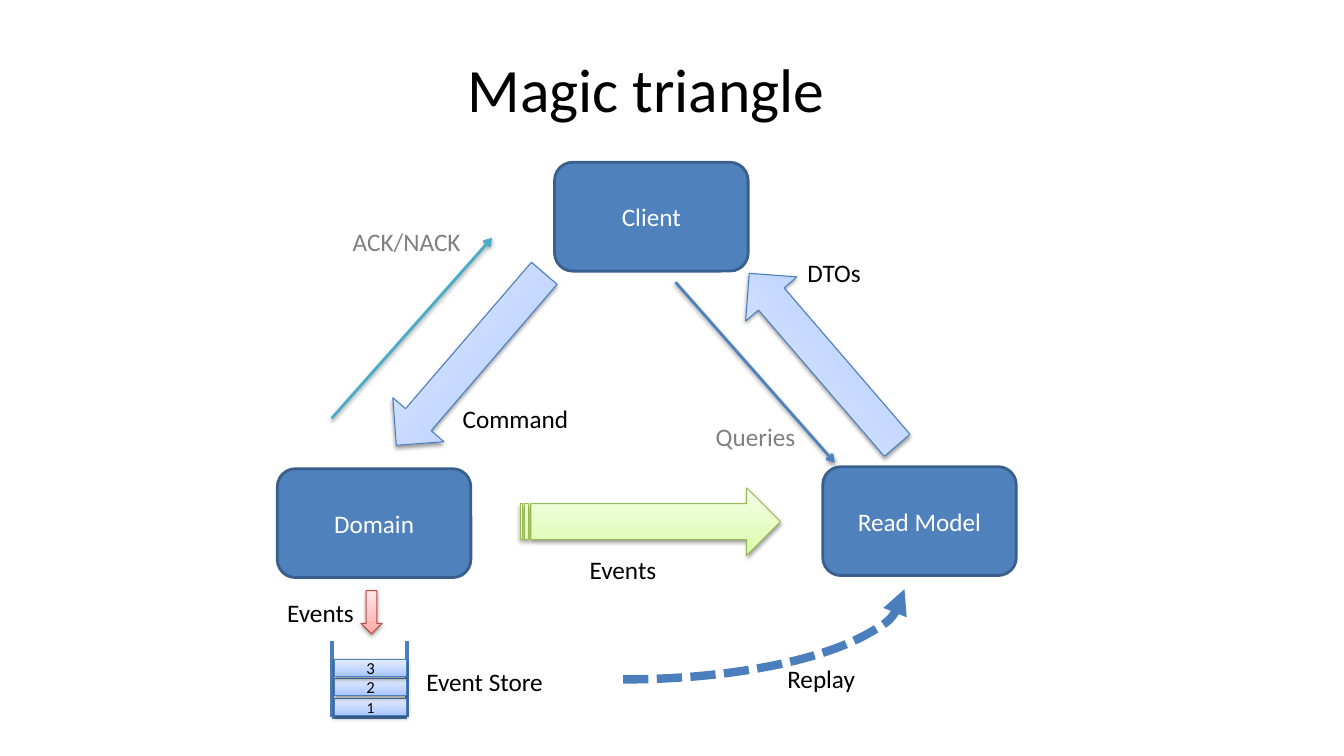
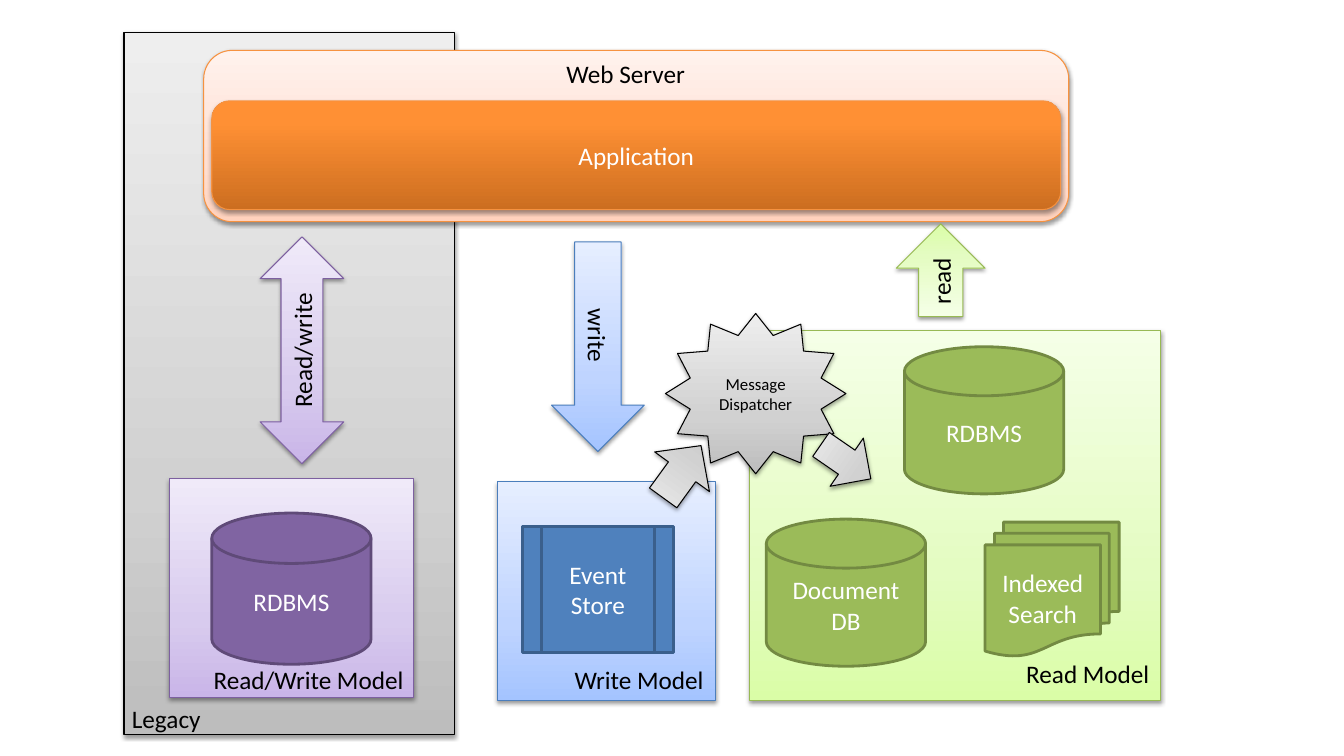
from dataclasses import dataclass
from typing import Optional

from lxml import etree
from pptx import Presentation
from pptx.dml.color import RGBColor
from pptx.enum.dml import MSO_LINE
from pptx.enum.shapes import MSO_CONNECTOR, MSO_SHAPE
from pptx.enum.text import MSO_ANCHOR, MSO_AUTO_SIZE, PP_ALIGN
from pptx.oxml.ns import qn
from pptx.slide import Slide
from pptx.text.text import TextFrame
from pptx.util import Inches, Pt

RECTANGLE = MSO_SHAPE.RECTANGLE
ROUNDED = MSO_SHAPE.ROUNDED_RECTANGLE
PROCESS = MSO_SHAPE.FLOWCHART_PROCESS
DISK = MSO_SHAPE.FLOWCHART_MAGNETIC_DISK
DOCUMENTS = MSO_SHAPE.FLOWCHART_MULTIDOCUMENT
PREDEFINED = MSO_SHAPE.FLOWCHART_PREDEFINED_PROCESS
STAR = MSO_SHAPE.STAR_12_POINT
ARC = MSO_SHAPE.ARC
STRIPED_ARROW = MSO_SHAPE.STRIPED_RIGHT_ARROW
RIGHT_ARROW = MSO_SHAPE.RIGHT_ARROW
DOWN_ARROW = MSO_SHAPE.DOWN_ARROW
UP_DOWN_ARROW = MSO_SHAPE.UP_DOWN_ARROW
STRAIGHT = MSO_CONNECTOR.STRAIGHT
SHORT_DASH = MSO_LINE.SQUARE_DOT
MIDDLE = MSO_ANCHOR.MIDDLE
LEFT, CENTER = PP_ALIGN.LEFT, PP_ALIGN.CENTER
FIT_TEXT = MSO_AUTO_SIZE.SHAPE_TO_FIT_TEXT

FONT = "Calibri"
BLACK = RGBColor(0x00, 0x00, 0x00)
WHITE = RGBColor(0xFF, 0xFF, 0xFF)
GRAY = RGBColor(0x80, 0x80, 0x80)
BLUE = RGBColor(0x4F, 0x81, 0xBD)
BLUE_EDGE = RGBColor(0x3A, 0x5F, 0x8C)
BLUE_LINE = RGBColor(0x4B, 0x7E, 0xBC)
TEAL = RGBColor(0x4B, 0xAC, 0xC6)
PURPLE = RGBColor(0x80, 0x64, 0xA2)
PURPLE_EDGE = RGBColor(0x5F, 0x4A, 0x78)
PURPLE_LINE = RGBColor(0x7D, 0x60, 0xA0)
GREEN = RGBColor(0x9B, 0xBB, 0x59)
GREEN_EDGE = RGBColor(0x73, 0x8A, 0x42)
GREEN_LINE = RGBColor(0x98, 0xB9, 0x55)
RED_LINE = RGBColor(0xBF, 0x4C, 0x48)
ORANGE_LINE = RGBColor(0xF6, 0x92, 0x40)
BLUE_TINTS = (RGBColor(0xA4, 0xC4, 0xFF), RGBColor(0xBF, 0xD4, 0xFF), RGBColor(0xE6, 0xEE, 0xFF))
GREEN_TINTS = (RGBColor(0xDA, 0xFD, 0xA7), RGBColor(0xE4, 0xFC, 0xC2), RGBColor(0xF5, 0xFF, 0xE7))
PURPLE_TINTS = (RGBColor(0xC9, 0xB5, 0xE8), RGBColor(0xD8, 0xCB, 0xEE), RGBColor(0xF0, 0xEA, 0xF9))
RED_TINTS = (RGBColor(0xFF, 0xA6, 0xA5), RGBColor(0xFF, 0xC0, 0xBF), RGBColor(0xFF, 0xE7, 0xE7))
GRAY_TINTS = (RGBColor(0xBD, 0xBD, 0xBD), RGBColor(0xD1, 0xD1, 0xD1), RGBColor(0xEE, 0xEE, 0xEE))
PEACH_TINTS = (RGBColor(0xFF, 0xD2, 0xBD), RGBColor(0xFF, 0xDE, 0xD0), RGBColor(0xFF, 0xF2, 0xED))
ORANGE_TINTS = (RGBColor(0xCC, 0x6E, 0x20), RGBColor(0xFF, 0x90, 0x34), RGBColor(0xFF, 0x91, 0x36))


@dataclass(frozen=True)
class Look:
    colors: tuple[RGBColor, ...]
    line: RGBColor
    width: float = 0.75
    text: RGBColor = BLACK
    middle_stop: int = 35


SOLID_BLUE = Look((BLUE,), BLUE_EDGE, 2, WHITE)
SOLID_PURPLE = Look((PURPLE,), PURPLE_EDGE, 2, WHITE)
SOLID_GREEN = Look((GREEN,), GREEN_EDGE, 2, WHITE)
SOFT_BLUE = Look(BLUE_TINTS, BLUE_LINE)
SOFT_GREEN = Look(GREEN_TINTS, GREEN_LINE)
SOFT_PURPLE = Look(PURPLE_TINTS, PURPLE_LINE)
SOFT_RED = Look(RED_TINTS, RED_LINE)
SOFT_GRAY = Look(GRAY_TINTS, BLACK)
PEACH = Look(PEACH_TINTS, ORANGE_LINE)
ORANGE = Look(ORANGE_TINTS, ORANGE_LINE, text=WHITE, middle_stop=80)
DASHED_BLUE = Look((), BLUE_LINE, 6)


@dataclass(frozen=True)
class Block:
    kind: MSO_SHAPE
    left: float
    top: float
    width: float
    height: float
    look: Look
    text: str = ""
    size: int = 18
    rotation: float = 0
    flip: str = ""
    vertical: str = ""
    adjustment: Optional[float] = None


@dataclass(frozen=True)
class Label:
    text: str
    left: float
    top: float
    width: float
    color: RGBColor = BLACK


@dataclass(frozen=True)
class Stroke:
    start: tuple[float, float]
    end: tuple[float, float]
    color: RGBColor
    width: float = 2
    arrow: bool = True


def write_text(frame: TextFrame, text: str, size: int, color: RGBColor, align: PP_ALIGN) -> None:
    for index, words in enumerate(text.split("\n")):
        para = frame.add_paragraph() if index else frame.paragraphs[0]
        para.alignment = align
        span = para.add_run()
        span.text = words
        span.font.name = FONT
        span.font.size = Pt(size)
        span.font.color.rgb = color


def add_color(parent: etree._Element, color: RGBColor) -> etree._Element:
    return etree.SubElement(parent, qn("a:srgbClr"), val=str(color))


def add_shadow(effects: etree._Element) -> None:
    shadow = etree.SubElement(effects, qn("a:outerShdw"), blurRad=str(Pt(3.1)), dist=str(Pt(1.6)),
                              dir="5400000", rotWithShape="0")
    etree.SubElement(add_color(shadow, BLACK), qn("a:alpha"), val="38000")


def add_arrowhead(properties: etree._Element, kind: str) -> None:
    etree.SubElement(properties.find(qn("a:ln")), qn("a:tailEnd"), type=kind)


def draw_block(page: Slide, block: Block) -> None:
    look = block.look
    box = page.shapes.add_shape(block.kind, Inches(block.left), Inches(block.top),
                                Inches(block.width), Inches(block.height))
    box.rotation = block.rotation
    box.shadow.inherit = False
    box.line.color.rgb = look.line
    box.line.width = Pt(look.width)
    properties = box._element.spPr
    if block.adjustment is not None:
        box.adjustments[0] = block.adjustment
    if block.flip:
        properties.find(qn("a:xfrm")).set(block.flip, "1")
    if not look.colors:
        box.fill.background()
        box.line.dash_style = SHORT_DASH
        add_arrowhead(properties, "triangle")
    elif len(look.colors) == 1:
        box.fill.solid()
        box.fill.fore_color.rgb = look.colors[0]
    else:
        box.fill.gradient()
        box.fill.gradient_angle = 90
        stops = properties.find(qn("a:gradFill")).find(qn("a:gsLst"))
        stops.clear()
        for position, color in zip((0, look.middle_stop, 100), look.colors):
            add_color(etree.SubElement(stops, qn("a:gs"), pos=str(position * 1000)), color)
        add_shadow(properties.find(qn("a:effectLst")))
    if block.text:
        frame = box.text_frame
        frame.vertical_anchor = MIDDLE
        if block.vertical:
            frame._txBody.bodyPr.set("vert", block.vertical)
        write_text(frame, block.text, block.size, look.text, CENTER)


def draw_label(page: Slide, label: Label) -> None:
    box = page.shapes.add_textbox(Inches(label.left), Inches(label.top), Inches(label.width), Inches(0.4))
    box.text_frame.word_wrap = False
    box.text_frame.auto_size = FIT_TEXT
    write_text(box.text_frame, label.text, 18, label.color, LEFT)


def draw_stroke(page: Slide, stroke: Stroke) -> None:
    line = page.shapes.add_connector(STRAIGHT, *(Inches(value) for value in stroke.start + stroke.end))
    line.line.color.rgb = stroke.color
    line.line.width = Pt(stroke.width)
    properties = line._element.spPr
    effects = etree.SubElement(properties, qn("a:effectLst"))
    if stroke.arrow:
        add_arrowhead(properties, "arrow")
        add_shadow(effects)


def draw_page(page: Slide, strokes: list[Stroke], blocks: list[Block], labels: list[Label]) -> None:
    for stroke in strokes:
        draw_stroke(page, stroke)
    for block in blocks:
        draw_block(page, block)
    for label in labels:
        draw_label(page, label)


def build_triangle(page: Slide) -> None:
    title = page.shapes.title
    title.left, title.top = Inches(1.91), Inches(0.25)
    title.width, title.height = Inches(9), Inches(1.25)
    title.text_frame.vertical_anchor = MIDDLE
    write_text(title.text_frame, "Magic triangle", 44, BLACK, CENTER)

    left, right, top, bottom = 3.29, 4.04, 6.36, 7.11
    strokes = [
        Stroke((left, top), (left, bottom), BLUE_LINE, 3, False),
        Stroke((left, bottom), (right, bottom), BLUE_LINE, 3, False),
        Stroke((right, top), (right, bottom), BLUE_LINE, 3, False),
        Stroke((3.29, 4.15), (4.88, 2.36), TEAL),
        Stroke((6.7, 2.8), (8.28, 4.59), BLUE),
    ]
    nodes = [("Client", 5.5, 1.61), ("Read Model", 8.16, 4.63), ("Domain", 2.75, 4.65)]
    blocks = [Block(ROUNDED, x, y, 1.92, 1.08, SOLID_BLUE, name) for name, x, y in nodes]
    blocks += [
        Block(STRIPED_ARROW, 5.16, 4.84, 2.58, 0.67, SOFT_GREEN, adjustment=0.53),
        Block(RIGHT_ARROW, 3.54, 3.23, 2.25, 0.67, SOFT_BLUE, rotation=130.7, flip="flipV"),
        Block(RIGHT_ARROW, 7.04, 3.23, 2.25, 0.67, SOFT_BLUE, rotation=229.3),
        Block(DOWN_ARROW, 3.58, 5.86, 0.21, 0.43, SOFT_RED),
        Block(ARC, 3.39, 4.95, 5.58, 1.79, DASHED_BLUE, rotation=180, flip="flipH"),
    ]
    blocks += [Block(RECTANGLE, 3.32, round(6.93 - 0.195 * index, 2), 0.71, 0.17, SOFT_BLUE, str(index + 1), size)
               for index, size in enumerate((11, 12, 12))]
    draw_page(page, strokes, blocks, [
        Label("Events", 5.75, 5.45, 0.87),
        Label("Command", 4.49, 3.95, 1.26),
        Label("DTOs", 7.91, 2.5, 0.74),
        Label("Event Store", 4.13, 6.56, 1.37),
        Label("Events", 2.75, 5.88, 0.87),
        Label("Replay", 7.71, 6.53, 0.88),
        Label("ACK/NACK", 3.4, 2.2, 1.28, GRAY),
        Label("Queries", 7, 4.13, 1, GRAY),
    ])


def build_architecture(page: Slide) -> None:
    blocks = [
        Block(RECTANGLE, 1.23, 0.32, 3.28, 6.97, SOFT_GRAY),
        Block(ROUNDED, 2.02, 0.5, 8.58, 1.7, PEACH),
        Block(PROCESS, 4.93, 4.78, 2.17, 2.17, SOFT_BLUE),
        Block(PROCESS, 7.43, 3.28, 4.08, 3.67, SOFT_GREEN),
        Block(PROCESS, 1.68, 4.75, 2.42, 2.17, SOFT_PURPLE),
        Block(DISK, 2.1, 5.09, 1.58, 1.5, SOLID_PURPLE, "RDBMS"),
        Block(DISK, 7.6, 5.15, 1.58, 1.46, SOLID_GREEN, "Document DB"),
        Block(DOCUMENTS, 9.77, 5.18, 1.33, 1.33, SOLID_GREEN, "Indexed Search"),
        Block(PREDEFINED, 5.18, 5.22, 1.5, 1.25, SOLID_BLUE, "Event\nStore"),
        Block(DISK, 8.97, 3.44, 1.58, 1.46, SOLID_GREEN, "RDBMS"),
        Block(ROUNDED, 2.1, 1, 8.42, 1.08, ORANGE, "Application"),
        Block(DOWN_ARROW, 5.47, 2.4, 0.92, 2.08, SOFT_BLUE, "write", vertical="vert"),
        Block(DOWN_ARROW, 8.89, 2.22, 0.88, 0.92, SOFT_GREEN, "read", rotation=180, vertical="vert"),
        Block(UP_DOWN_ARROW, 2.58, 2.35, 0.83, 2.25, SOFT_PURPLE, "Read/write", vertical="vert270"),
        Block(STAR, 6.6, 3.11, 1.79, 1.59, SOFT_GRAY, "Message\nDispatcher", 12),
        Block(DOWN_ARROW, 8.1, 4.28, 0.58, 0.6, SOFT_GRAY, rotation=304.6),
        Block(DOWN_ARROW, 6.43, 4.36, 0.67, 0.64, SOFT_GRAY, rotation=215.9),
    ]
    draw_page(page, [], blocks, [
        Label("Legacy", 1.21, 6.93, 0.89),
        Label("Read Model", 10.08, 6.48, 1.44),
        Label("Write Model", 5.6, 6.54, 1.5),
        Label("Web Server", 5.52, 0.53, 1.58),
        Label("Read/Write Model", 2.02, 6.54, 2.11),
    ])


def main() -> None:
    deck = Presentation()
    deck.slide_width, deck.slide_height = Inches(13.33), Inches(7.5)
    title_only, blank = deck.slide_layouts[5], deck.slide_layouts[6]
    build_triangle(deck.slides.add_slide(title_only))
    build_architecture(deck.slides.add_slide(blank))
    deck.save("out.pptx")


if __name__ == "__main__":
    main()
